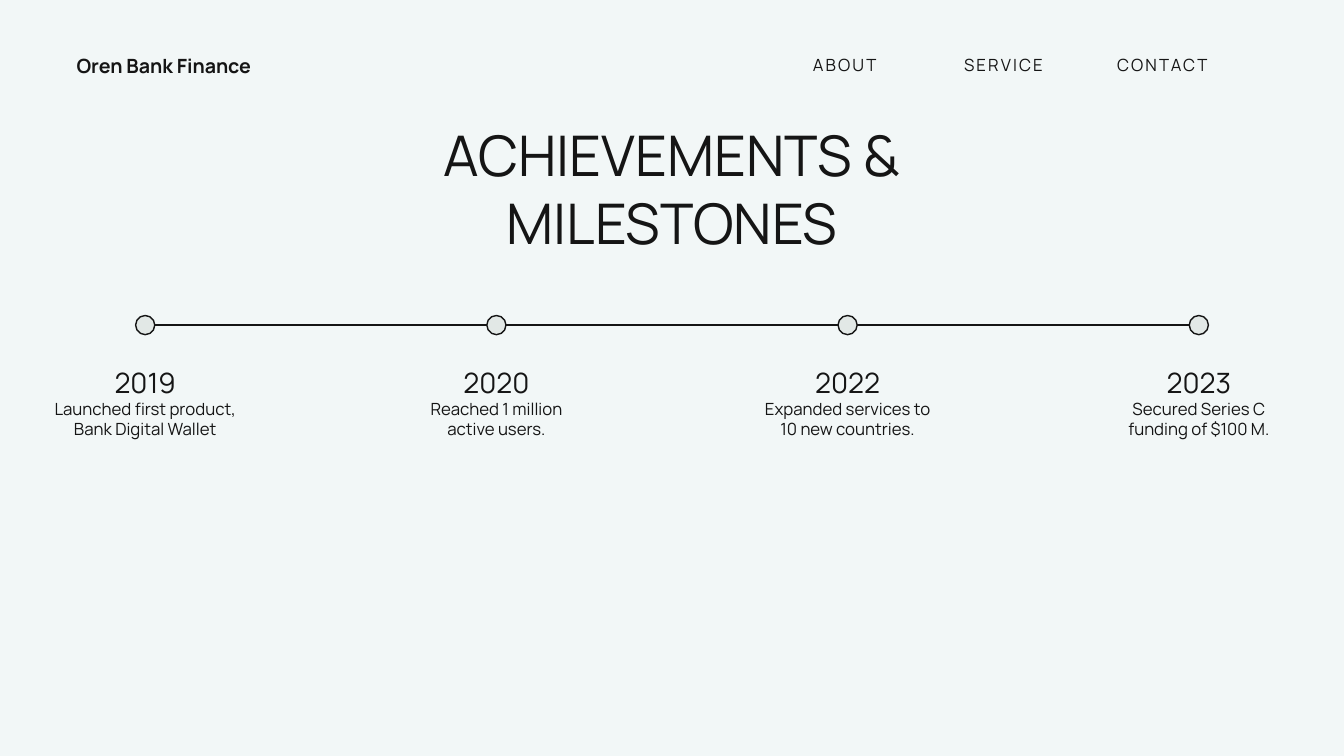
from lxml import etree
from pptx import Presentation
from pptx.dml.color import RGBColor
from pptx.enum import shapes, text
from pptx.oxml import ns
from pptx.util import Pt

INK, DOT_FILL, BACKGROUND = "151515", "E2E8E6", "F2F7F7"
FONT = "Manrope"
AXIS_Y, FIRST_X, STEP, DOT = 464.4, 207.36, 501.6, 27.36
MILESTONES = [
    ("2019", "Launched first product, Bank Digital Wallet", 304.56),
    ("2020", "Reached 1 million active users.", 255.6),
    ("2022", "Expanded services to 10 new countries.", 255.6),
    ("2023", "Secured Series C funding of $100 M.", 255.6),
]
MENU = ["ABOUT", "SERVICE", "CONTACT"]


def color(value):
    return RGBColor.from_string(value)


def set_text(box, lines, align=text.PP_ALIGN.CENTER, bold=False, tracking=0):
    """Fill a box with one paragraph for each (wording, size) pair."""
    frame = box.text_frame
    frame_format = {
        "word_wrap": True,
        "auto_size": text.MSO_AUTO_SIZE.SHAPE_TO_FIT_TEXT,
        "vertical_anchor": text.MSO_ANCHOR.TOP,
        "margin_left": Pt(7.2), "margin_right": Pt(7.2),
        "margin_top": Pt(3.6), "margin_bottom": Pt(3.6),
    }
    for name, value in frame_format.items():
        setattr(frame, name, value)
    for index, (wording, size) in enumerate(lines):
        para = frame.add_paragraph() if index else frame.paragraphs[0]
        para.alignment = align
        span = para.add_run()
        span.text = wording
        for name, value in {"name": FONT, "size": Pt(size), "bold": bold}.items():
            setattr(span.font, name, value)
        span.font.color.rgb = color(INK)
        if tracking:
            span.font._element.set("spc", str(tracking * 100))


def add_text(page, left, top, width, height, lines, **options):
    box = page.shapes.add_textbox(Pt(left), Pt(top), Pt(width), Pt(height))
    set_text(box, lines, **options)


def set_title(page, left, top, width, height, wording):
    title = page.shapes.title
    place = {"left": left, "top": top, "width": width, "height": height}
    for name, value in place.items():
        setattr(title, name, Pt(value))
    set_text(title, [(wording, 80)])


def set_line(shape):
    shape.line.color.rgb = color(INK)
    shape.line.width = Pt(2)


def add_axis(group, start, end):
    axis = group.shapes.add_connector(
        shapes.MSO_CONNECTOR.STRAIGHT, Pt(start), Pt(AXIS_Y), Pt(end), Pt(AXIS_Y))
    set_line(axis)
    etree.SubElement(axis._element.spPr, ns.qn("a:effectLst"))


def add_dot(group, center):
    dot = group.shapes.add_shape(
        shapes.MSO_SHAPE.OVAL, Pt(center - DOT / 2), Pt(AXIS_Y - DOT / 2),
        Pt(DOT), Pt(DOT))
    dot.shadow.inherit = False
    dot.fill.solid()
    dot.fill.fore_color.rgb = color(DOT_FILL)
    set_line(dot)


def main():
    deck = Presentation()
    deck.slide_width, deck.slide_height = Pt(1919.52), Pt(1080)
    page = deck.slides.add_slide(deck.slide_layouts[5])
    page.background.fill.solid()
    page.background.fill.fore_color.rgb = color(BACKGROUND)

    # Heading
    set_title(page, 510.48, 169.2, 898.56, 200.88, "ACHIEVEMENTS & MILESTONES")

    # Timeline
    centers = [FIRST_X + STEP * index for index in range(len(MILESTONES))]
    timeline = page.shapes.add_group_shape()
    add_axis(timeline, centers[0], centers[-1])
    for center, (year, event, width) in zip(centers, MILESTONES):
        add_dot(timeline, center)
        add_text(page, center - width / 2, 518.4, width, 113.76,
                 [(year, 40), (event, 24)])

    # Header: name and menu
    add_text(page, 102.24, 74.16, 327.6, 41.04, [("Oren Bank Finance", 28)],
             align=text.PP_ALIGN.LEFT, bold=True)
    for index, entry in enumerate(MENU):
        add_text(page, 1092.96 + 226.8 * index, 74.16, 226.8, 36,
                 [(entry, 24)], tracking=3)

    deck.save("out.pptx")


if __name__ == "__main__":
    main()
